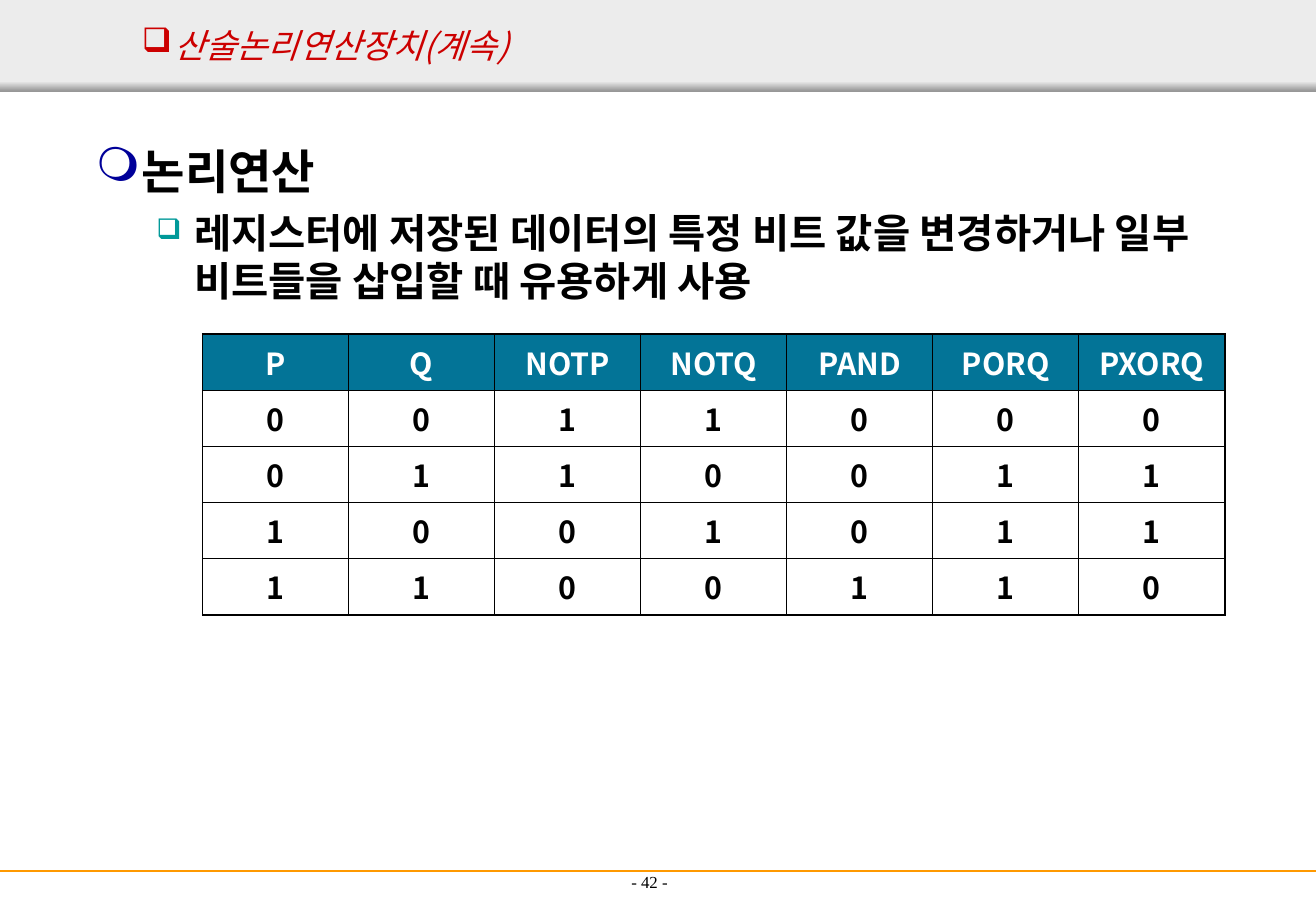
from lxml import etree
from pptx import Presentation
from pptx.dml.color import RGBColor
from pptx.enum.shapes import MSO_CONNECTOR, MSO_SHAPE
from pptx.enum.text import MSO_ANCHOR, MSO_AUTO_SIZE, PP_ALIGN
from pptx.oxml.ns import qn
from pptx.util import Inches, Pt

SLIDE_WIDTH, SLIDE_HEIGHT = Inches(10.84), Inches(7.5)
TITLE_ONLY = 5
RECTANGLE = MSO_SHAPE.RECTANGLE
STRAIGHT = MSO_CONNECTOR.STRAIGHT
TOP, MIDDLE, BOTTOM = MSO_ANCHOR.TOP, MSO_ANCHOR.MIDDLE, MSO_ANCHOR.BOTTOM
LEFT, CENTER = PP_ALIGN.LEFT, PP_ALIGN.CENTER
NO_AUTOFIT = MSO_AUTO_SIZE.NONE

KOREAN_FONT = "Noto Sans CJK KR"
PAGE_FONT = "Times New Roman"
BLACK = RGBColor(0x00, 0x00, 0x00)
WHITE = RGBColor(0xFF, 0xFF, 0xFF)
BAND_GRAY = RGBColor(0xEC, 0xEC, 0xEC)
SHADE_GRAY = RGBColor(0x97, 0x97, 0x97)
ORANGE = RGBColor(0xFF, 0x99, 0x00)
RED = RGBColor(0xCC, 0x00, 0x00)
NAVY = RGBColor(0x00, 0x00, 0x99)
TEAL = RGBColor(0x00, 0x99, 0x99)
HEADER_BLUE = RGBColor(0x03, 0x74, 0x97)

OUTER_BORDER, INNER_BORDER = Pt(1.08), Pt(0.45)
TRUTH_TABLE = [
    ["P", "Q", "NOTP", "NOTQ", "PAND", "PORQ", "PXORQ"],
    ["0", "0", "1", "1", "0", "0", "0"],
    ["0", "1", "1", "0", "0", "1", "1"],
    ["1", "0", "0", "1", "0", "1", "1"],
    ["1", "1", "0", "0", "1", "1", "0"],
]


def place(left, top, width, height):
    """Turn percentages of the slide's size into lengths."""
    return (int(SLIDE_WIDTH * left / 100), int(SLIDE_HEIGHT * top / 100),
            int(SLIDE_WIDTH * width / 100), int(SLIDE_HEIGHT * height / 100))


def write(paragraph, text, size, color, font=KOREAN_FONT, bold=False,
          italic=False, align=LEFT):
    paragraph.text = text
    paragraph.alignment = align
    for run in paragraph.runs:
        run.font.name = font
        run.font.size = Pt(size)
        run.font.bold = bold
        run.font.italic = italic
        run.font.color.rgb = color
        east_asian = etree.SubElement(run.font._element, qn("a:ea"))
        east_asian.set("typeface", font)


def add_bullet(paragraph, symbol, color, margin, hanging, percent=100):
    properties = paragraph._p.get_or_add_pPr()
    properties.set("marL", str(Inches(margin)))
    properties.set("indent", str(-Inches(hanging)))
    bullet_color = etree.SubElement(properties, qn("a:buClr"))
    etree.SubElement(bullet_color, qn("a:srgbClr")).set("val", str(color))
    etree.SubElement(properties, qn("a:buSzPct")).set("val", str(percent * 1000))
    etree.SubElement(properties, qn("a:buChar")).set("char", symbol)


def set_frame(text_frame, anchor):
    text_frame.word_wrap = True
    text_frame.auto_size = NO_AUTOFIT
    text_frame.vertical_anchor = anchor


def add_text_frame(slide, area, anchor):
    text_frame = slide.shapes.add_textbox(*place(*area)).text_frame
    set_frame(text_frame, anchor)
    return text_frame


def add_band(slide, area):
    band = slide.shapes.add_shape(RECTANGLE, *place(*area))
    band.shadow.inherit = False
    band.line.fill.background()
    return band


def add_header(slide):
    add_band(slide, (0, 0, 100, 10)).fill.solid()
    slide.shapes[-1].fill.fore_color.rgb = BAND_GRAY
    fill = add_band(slide, (0, 8.93, 100, 1.07)).fill
    fill.gradient()
    fill.gradient_angle = 270
    for stop, color in zip(fill.gradient_stops, (BAND_GRAY, SHADE_GRAY)):
        stop.color.rgb = color


def add_footer(slide):
    left, top, width, _ = place(0, 95.6, 100, 0)
    rule = slide.shapes.add_connector(STRAIGHT, left, top, left + width, top)
    rule.line.color.rgb = ORANGE
    rule.line.width = Pt(1.5)
    etree.SubElement(rule._element.spPr, qn("a:effectLst"))
    text_frame = add_text_frame(slide, (34.04, 91.87, 30.63, 6.67), BOTTOM)
    write(text_frame.paragraphs[0], "- 42 -", 10, BLACK, PAGE_FONT, align=CENTER)


def format_title(slide):
    title = slide.shapes.title
    title.left, title.top, title.width, title.height = place(4.98, 1.87, 89.94, 6.13)
    set_frame(title.text_frame, MIDDLE)
    paragraph = title.text_frame.paragraphs[0]
    add_bullet(paragraph, "❑", RED, 0.8, 0.27)
    write(paragraph, "산술논리연산장치(계속)", 20, RED, italic=True)
    # The title belongs in front of the header band.
    slide.shapes._spTree.append(title._element)


def add_body(slide):
    text_frame = add_text_frame(slide, (6.37, 14.4, 87.18, 72.93), TOP)
    heading = text_frame.paragraphs[0]
    add_bullet(heading, "❍", NAVY, 0.38, 0.38)
    write(heading, "논리연산", 28, BLACK, bold=True)
    heading.line_spacing = Pt(36.5)

    detail = text_frame.add_paragraph()
    detail.level = 1
    add_bullet(detail, "❑", TEAL, 0.81, 0.31, 70)
    write(detail, "레지스터에 저장된 데이터의 특정 비트 값을 변경하거나 일부 "
          "비트들을 삽입할 때 유용하게 사용", 24, BLACK, bold=True)
    detail.line_spacing = Pt(28.5)
    detail.space_before = Pt(6)


def set_borders(cell, outer_sides):
    properties = cell._tc.get_or_add_tcPr()
    for side, is_outer in zip("LRTB", outer_sides):
        width = OUTER_BORDER if is_outer else INNER_BORDER
        border = etree.SubElement(properties, qn(f"a:ln{side}"), w=str(width))
        fill = etree.SubElement(border, qn("a:solidFill"))
        etree.SubElement(fill, qn("a:srgbClr")).set("val", str(BLACK))


def add_truth_table(slide):
    last_row, last_column = len(TRUTH_TABLE) - 1, len(TRUTH_TABLE[0]) - 1
    table = slide.shapes.add_table(last_row + 1, last_column + 1,
                                   *place(15.4, 36.67, 77.68, 30.8)).table
    for row, values in enumerate(TRUTH_TABLE):
        for column, value in enumerate(values):
            cell = table.cell(row, column)
            set_borders(cell, (column == 0, column == last_column,
                               row == 0, row == last_row))
            cell.fill.solid()
            cell.fill.fore_color.rgb = WHITE if row else HEADER_BLUE
            write(cell.text_frame.paragraphs[0], value, 18,
                  BLACK if row else WHITE, bold=True, align=CENTER)


def main():
    presentation = Presentation()
    presentation.slide_width = SLIDE_WIDTH
    presentation.slide_height = SLIDE_HEIGHT
    slide = presentation.slides.add_slide(presentation.slide_layouts[TITLE_ONLY])
    add_header(slide)
    add_footer(slide)
    format_title(slide)
    add_body(slide)
    add_truth_table(slide)
    presentation.save("out.pptx")


if __name__ == "__main__":
    main()
